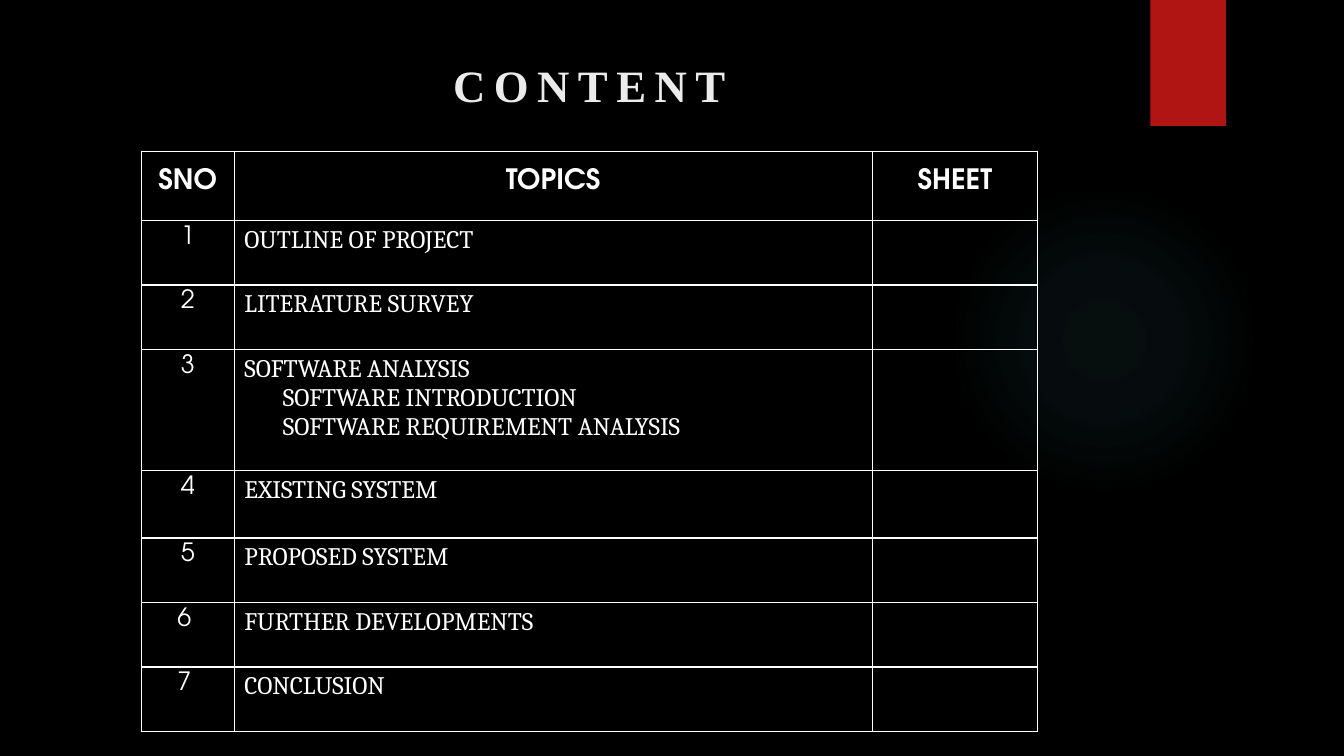
from dataclasses import dataclass

from lxml import etree
from pptx import Presentation
from pptx.dml.color import RGBColor
from pptx.enum import shapes, text
from pptx.oxml import ns, parse_xml
from pptx.util import Pt


@dataclass(frozen=True)
class Theme:
    background: str = "000000"
    ribbon: str = "B01513"
    glow: str = "50B9C1"
    heading: str = "EBEBEB"
    body: str = "FFFFFF"
    heading_font: str = "Times New Roman"
    label_font: str = "TeX Gyre Adventor"
    topic_font: str = "Cambria"
    heading_size: int = 32
    header_size: int = 20
    body_size: int = 18
    border: int = 1


THEME = Theme()
HEADERS = ["SNO", "TOPICS", "SHEET"]
TOPICS = [
    ("1", ["OUTLINE OF PROJECT"]),
    ("2", ["LITERATURE SURVEY"]),
    ("3", ["SOFTWARE ANALYSIS", "SOFTWARE INTRODUCTION", "SOFTWARE REQUIREMENT ANALYSIS"]),
    ("4", ["EXISTING SYSTEM"]),
    ("5", ["PROPOSED SYSTEM"]),
    ("6 ", ["FURTHER DEVELOPMENTS"]),
    ("7 ", ["CONCLUSION"]),
]
COLUMN_WIDTHS = [66.4, 455.6, 118.1]
ROW_HEIGHTS = [49.5, 46.1, 46.1, 86.6, 48, 46.1, 46.1, 46.1]
SUBTOPIC_INDENT = 27.5


def style(paragraph, font, size, color, bold=False, align=text.PP_ALIGN.CENTER):
    paragraph.alignment = align
    paragraph.font.name = font
    paragraph.font.size = Pt(size)
    paragraph.font.bold = bold
    paragraph.font.color.rgb = RGBColor.from_string(color)


def add_block(slide, preset, left, top, width, height, color):
    block = slide.shapes.add_shape(preset, Pt(left), Pt(top), Pt(width), Pt(height))
    block.shadow.inherit = False
    block.line.fill.background()
    block.fill.solid()
    block.fill.fore_color.rgb = RGBColor.from_string(color)
    return block


def add_glow(slide, left, top, size):
    glow = add_block(slide, shapes.MSO_SHAPE.OVAL, left, top, size, size, THEME.glow)
    stops = "".join(
        f'<a:gs pos="{position * 1000}"><a:srgbClr val="{THEME.glow}">'
        f'<a:alpha val="{alpha * 1000}"/></a:srgbClr></a:gs>'
        for position, alpha in [(0, 7), (36, 6), (69, 0), (100, 0)]
    )
    gradient = parse_xml(
        f'<a:gradFill {ns.nsdecls("a")}><a:gsLst>{stops}</a:gsLst><a:path path="circle">'
        '<a:fillToRect l="50000" t="50000" r="50000" b="50000"/></a:path></a:gradFill>'
    )
    properties = glow.element.spPr
    properties.replace(properties.find(ns.qn("a:solidFill")), gradient)


def add_heading(slide, words, left, top, width, height):
    frame = slide.shapes.add_textbox(Pt(left), Pt(top), Pt(width), Pt(height)).text_frame
    frame.word_wrap = True
    heading = frame.paragraphs[0]
    run = heading.add_run()
    run.text = words
    style(heading, THEME.heading_font, THEME.heading_size, THEME.heading, bold=True)
    run.font._element.set("spc", "600")


def outline_cell(cell):
    cell.fill.background()
    properties = cell._tc.get_or_add_tcPr()
    for position, side in enumerate(["lnL", "lnR", "lnT", "lnB"]):
        edge = etree.Element(ns.qn(f"a:{side}"), w=str(Pt(THEME.border)))
        fill = etree.SubElement(edge, ns.qn("a:solidFill"))
        etree.SubElement(fill, ns.qn("a:srgbClr"), val=THEME.body)
        properties.insert(position, edge)


def fill_header(cell, label):
    cell.text = label
    paragraph = cell.text_frame.paragraphs[0]
    style(paragraph, THEME.label_font, THEME.header_size, THEME.body, bold=True)
    paragraph.line_spacing = 1.5


def fill_number(cell, number):
    cell.text = number
    style(cell.text_frame.paragraphs[0], THEME.label_font, THEME.body_size, THEME.body)


def fill_topic(cell, lines):
    cell.text = "\n".join(lines)
    for level, paragraph in enumerate(cell.text_frame.paragraphs):
        style(paragraph, THEME.topic_font, THEME.body_size, THEME.body,
              align=text.PP_ALIGN.JUSTIFY)
        if level:
            paragraph._p.get_or_add_pPr().set("marL", str(Pt(SUBTOPIC_INDENT)))


def add_contents(slide, left, top):
    contents = slide.shapes.add_table(
        len(ROW_HEIGHTS), len(COLUMN_WIDTHS), Pt(left), Pt(top),
        Pt(sum(COLUMN_WIDTHS)), Pt(sum(ROW_HEIGHTS)),
    ).table
    contents.first_row = contents.horz_banding = False
    for column, width in zip(contents.columns, COLUMN_WIDTHS):
        column.width = Pt(width)
    for row, height in zip(contents.rows, ROW_HEIGHTS):
        row.height = Pt(height)
    for cell in contents.iter_cells():
        outline_cell(cell)
    for column, label in enumerate(HEADERS):
        fill_header(contents.cell(0, column), label)
    for row, (number, lines) in enumerate(TOPICS, start=1):
        fill_number(contents.cell(row, 0), number)
        fill_topic(contents.cell(row, 1), lines)


def main():
    deck = Presentation()
    deck.slide_width, deck.slide_height = Pt(960), Pt(540)
    slide = deck.slides.add_slide(deck.slide_layouts[6])
    slide.background.fill.solid()
    slide.background.fill.fore_color.rgb = RGBColor.from_string(THEME.background)
    add_glow(slide, 677.5, 131.8, 221.8)
    add_block(slide, shapes.MSO_SHAPE.RECTANGLE, 821.8, 0, 54, 90, THEME.ribbon)
    add_heading(slide, "CONTENT", 51, 38, 740, 50)
    add_contents(slide, 101, 108)
    deck.save("out.pptx")


main()
